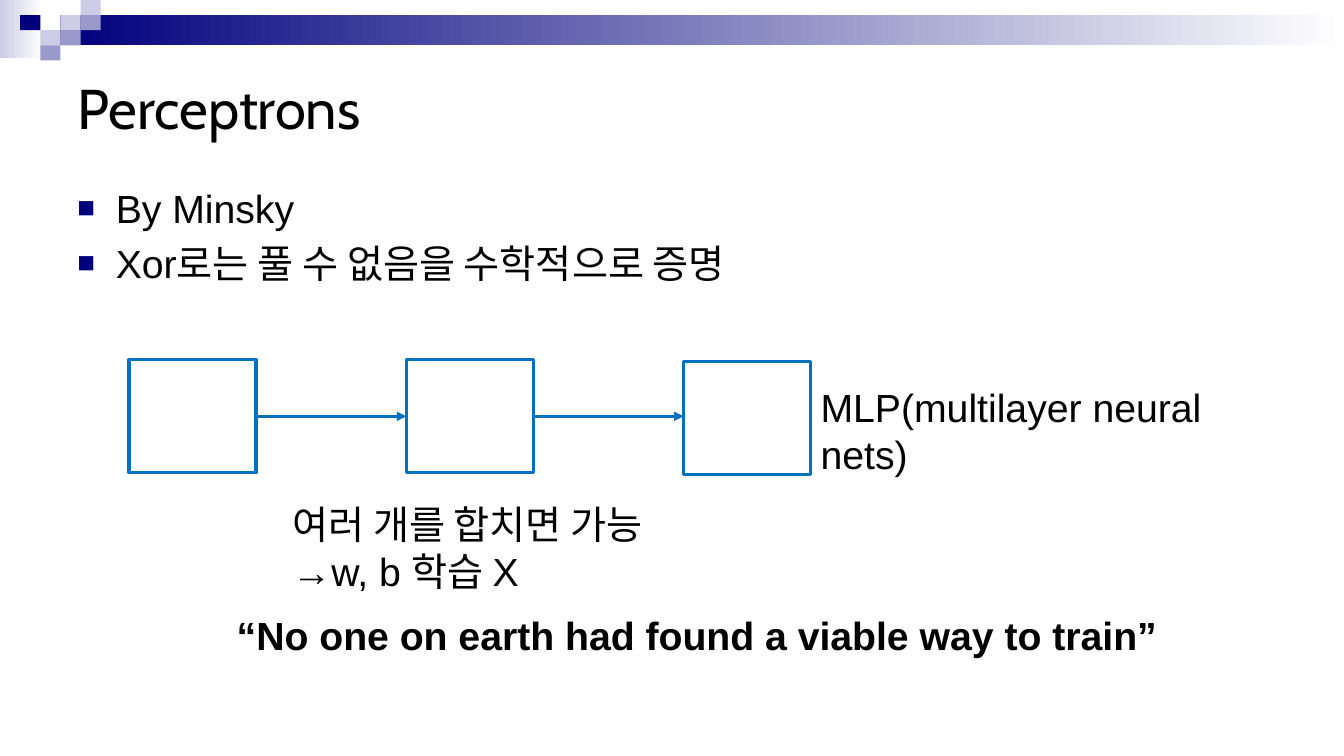
from pptx import Presentation
from pptx import util as u
from pptx.dml.color import RGBColor
from pptx.enum import shapes, text
from pptx.oxml import xmlchemy as xml
from pptx.oxml import ns
from lxml import etree

PX = 9144
NAVY = RGBColor(0x00, 0x00, 0x7D)
MID = RGBColor(0x99, 0x99, 0xCC)
PALE = RGBColor(0xCC, 0xCC, 0xE6)
WHITE = RGBColor(0xFF, 0xFF, 0xFF)
BLACK = RGBColor(0x00, 0x00, 0x00)
BLUE = RGBColor(0x00, 0x70, 0xC0)


def px(*nums):
    """Turn px lengths into EMU."""
    return [u.Emu(n * PX) for n in nums]


def add_box(slide, area, fill=None, fade=None, line=None):
    """Add a rectangle with a plain, fading or empty fill."""
    box = slide.shapes.add_shape(shapes.MSO_SHAPE.RECTANGLE, *px(*area))
    box.shadow.inherit = False
    if fade:
        box.fill.gradient()
        box.fill.gradient_angle = 0
        for stop, color in zip(box.fill.gradient_stops, fade):
            stop.color.rgb = color
    elif fill:
        box.fill.solid()
        box.fill.fore_color.rgb = fill
    else:
        box.fill.background()
    if line:
        box.line.color.rgb = line
        box.line.width = u.Pt(2.25)
    else:
        box.line.fill.background()
    return box


def add_arrow(slide, left, right, y):
    """Add a level arrow pointing right."""
    arrow = slide.shapes.add_connector(shapes.MSO_CONNECTOR.STRAIGHT, *px(left, y, right, y))
    arrow.line.color.rgb = BLUE
    arrow.line.width = u.Pt(2.25)
    etree.SubElement(arrow.line._get_or_add_ln(), ns.qn("a:tailEnd"), type="triangle")
    etree.SubElement(arrow._element.spPr, ns.qn("a:effectLst"))


def add_bullet(para):
    """Give a paragraph a square navy bullet and a hanging indent."""
    props = para._p.get_or_add_pPr()
    hang = 38 * PX
    props.set("marL", str(hang))
    props.set("indent", str(-hang))
    color = etree.SubElement(props, ns.qn("a:buClr"))
    etree.SubElement(color, ns.qn("a:srgbClr"), val=str(NAVY))
    etree.SubElement(props, ns.qn("a:buSzPct"), val="75000")
    etree.SubElement(props, ns.qn("a:buFont"), typeface="Arial")
    etree.SubElement(props, ns.qn("a:buChar"), char="■")


def add_text(slide, area, lines, size=28, font="Arial", bold=False, wrap=True,
             middle=False, bullet=False):
    """Add a text box with one paragraph per line."""
    frame = slide.shapes.add_textbox(*px(*area)).text_frame
    frame.word_wrap = wrap
    if middle:
        frame.vertical_anchor = text.MSO_ANCHOR.MIDDLE
    for i, line in enumerate(lines):
        para = frame.add_paragraph() if i else frame.paragraphs[0]
        run = para.add_run()
        run.text = line
        run.font.size = u.Pt(size)
        run.font.name = font
        run.font.bold = bold
        run.font.color.rgb = BLACK
        if bullet:
            para.space_before = u.Pt(size * 0.2)
            add_bullet(para)


def add_banner(slide):
    """Add the fading bar and its mosaic of tiles."""
    add_box(slide, (0, 0, 42, 58), fade=(PALE, WHITE))
    add_box(slide, (60, 15, 1273, 30), fade=(NAVY, WHITE))
    tiles = [(3, 1, PALE), (4, 0, PALE), (4, 1, MID), (2, 2, PALE),
             (1, 1, NAVY), (3, 2, MID), (2, 3, MID)]
    for col, row, color in tiles:
        add_box(slide, (col * 20, row * 15, 20, 15), fill=color)


def add_chain(slide):
    """Add three boxes joined by arrows."""
    start, step, wide = 128, 275, 126
    for i, top in enumerate((357, 357, 359)):
        left = start + i * step
        add_box(slide, (left, top, wide, 112), line=BLUE)
        if i:
            add_arrow(slide, left - step + wide, left, 413)


def main():
    """Build and save the slide."""
    deck = Presentation()
    deck.slide_width, deck.slide_height = px(1333, 750)
    slide = deck.slides.add_slide(deck.slide_layouts[6])
    add_banner(slide)
    add_text(slide, (67, 50, 1200, 112), ["Perceptrons"], size=40, font="Cabin", middle=True)
    add_text(slide, (67, 178, 1200, 496),
             ["By Minsky", "Xor로는 풀 수 없음을 수학적으로 증명"], bullet=True)
    add_chain(slide)
    add_text(slide, (280, 491, 461, 104), ["여러 개를 합치면 가능", "→w, b 학습 X"])
    add_text(slide, (804, 375, 485, 57), ["MLP(multilayer neural nets)"])
    add_text(slide, (225, 602, 943, 57),
             ["“No one on earth had found a viable way to train”"], bold=True, wrap=False)
    deck.save("out.pptx")


if __name__ == "__main__":
    main()
